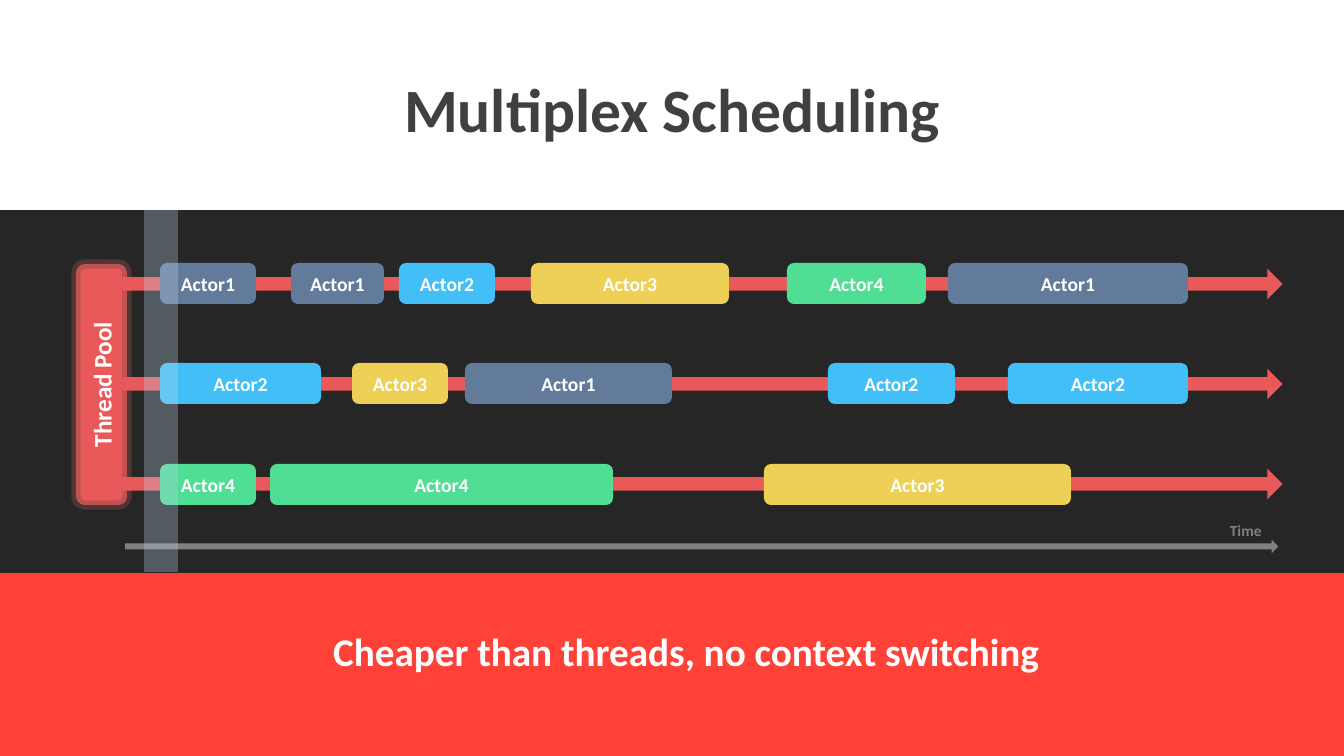
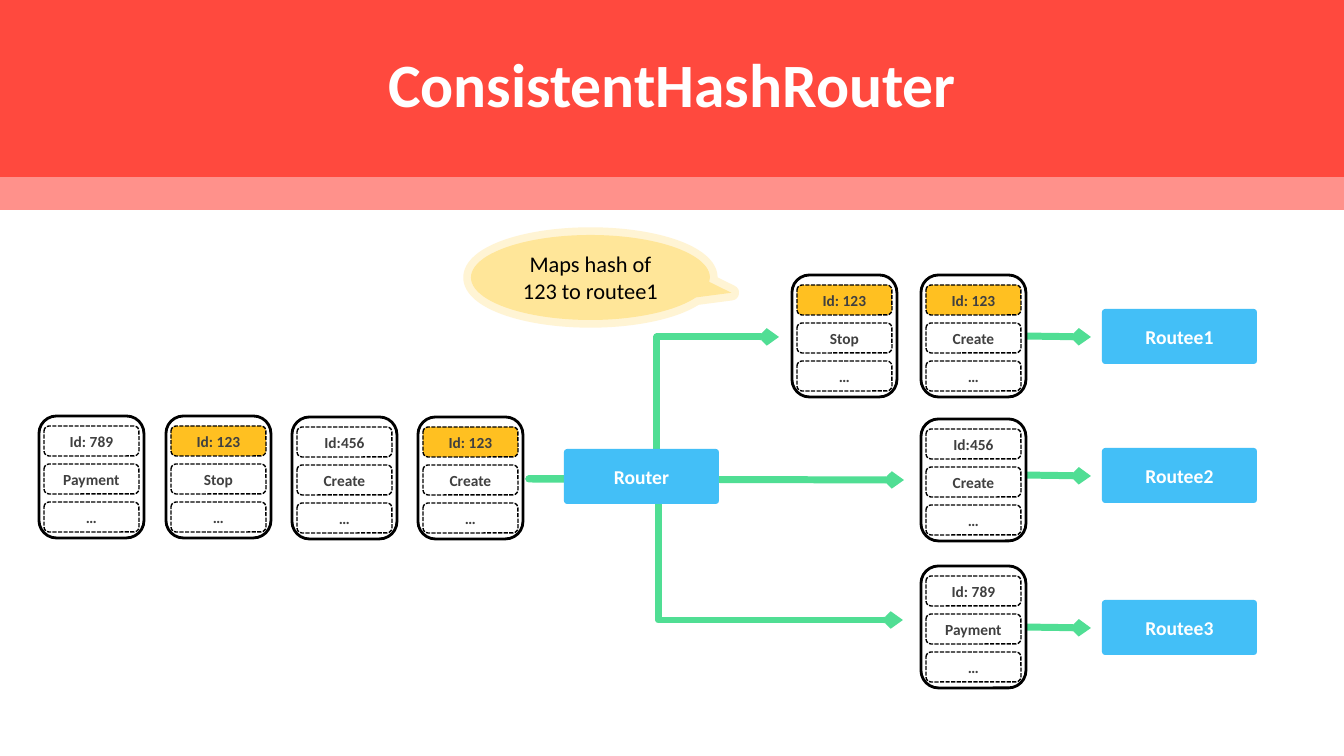
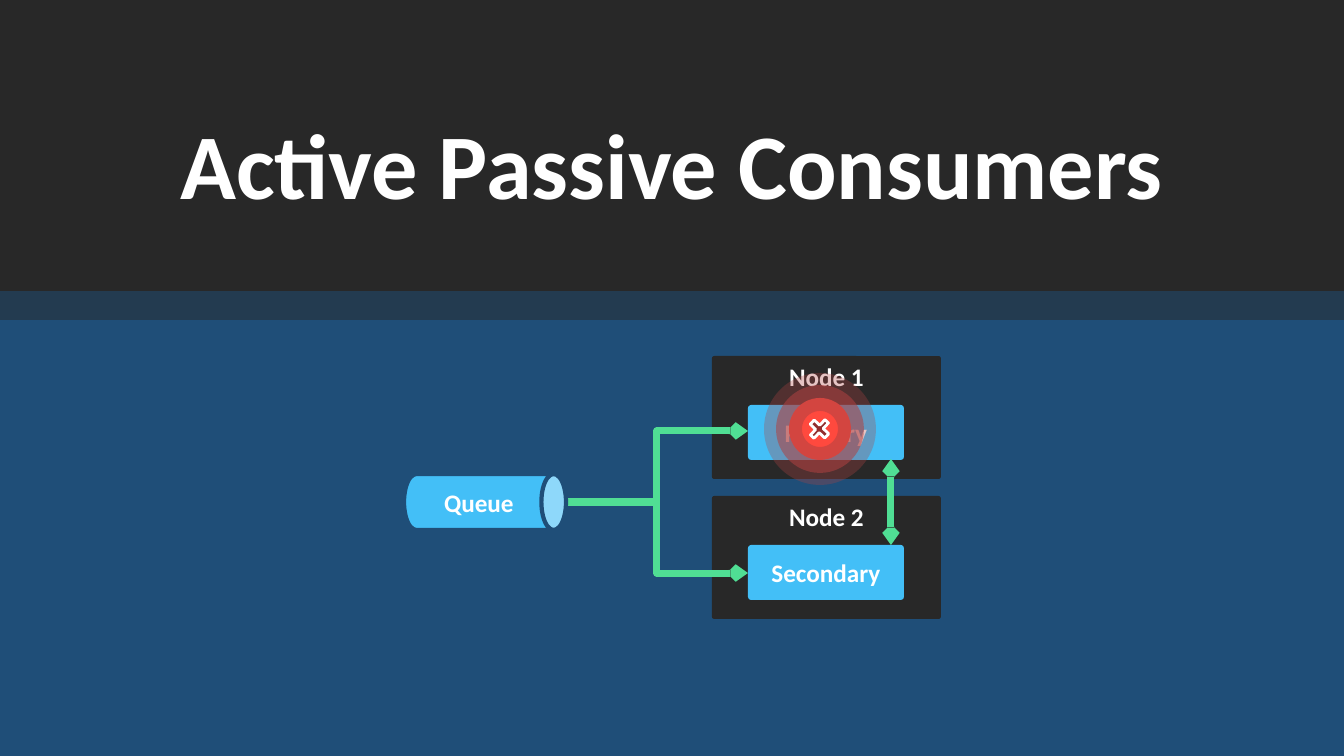
from lxml.etree import SubElement
from pptx import Presentation
from pptx.dml.color import RGBColor
from pptx.enum.dml import MSO_LINE
from pptx.enum.shapes import MSO_CONNECTOR, MSO_SHAPE
from pptx.enum.text import MSO_ANCHOR, MSO_AUTO_SIZE, PP_ALIGN
from pptx.oxml.ns import qn
from pptx.util import Pt

PX = 12192000 / 1344
WIDTH, HEIGHT = 1344, 756
FONT = "Calibri"

WHITE = RGBColor(0xFF, 0xFF, 0xFF)
BLACK = RGBColor(0x00, 0x00, 0x00)
CHARCOAL = RGBColor(0x26, 0x26, 0x26)
PANEL = RGBColor(0x28, 0x28, 0x28)
TEXT_GRAY = RGBColor(0x40, 0x40, 0x40)
TIME_GRAY = RGBColor(0x80, 0x80, 0x80)
RED = RGBColor(0xFF, 0x49, 0x3E)
FOOTER_RED = RGBColor(0xFF, 0x41, 0x37)
CORAL = RGBColor(0xE9, 0x59, 0x59)
POOL_EDGE = RGBColor(0x8C, 0x4A, 0x4A)
HALO = RGBColor(0xB0, 0x42, 0x42)
CROSS = RGBColor(0x92, 0x2E, 0x2E)
SLATE = RGBColor(0x63, 0x7B, 0x9B)
SKY = RGBColor(0x43, 0xBF, 0xF7)
YELLOW = RGBColor(0xED, 0xD0, 0x55)
GREEN = RGBColor(0x50, 0xDE, 0x94)
AMBER = RGBColor(0xFF, 0xC0, 0x21)
CREAM = RGBColor(0xFF, 0xE6, 0x99)
PALE_BLUE = RGBColor(0xBD, 0xD7, 0xEE)
NAVY = RGBColor(0x1F, 0x4E, 0x78)
NAVY_BAND = RGBColor(0x23, 0x3B, 0x50)

ROUNDED = MSO_SHAPE.ROUNDED_RECTANGLE


def add_box(slide, geometry, bounds, fill=None, line=None, text=None, size=14,
            color=WHITE, bold=True, corner=None, alpha=100, line_alpha=100):
    """Add a preset shape, or a text box when geometry is None."""
    bounds = [round(value * PX) for value in bounds]
    if geometry is None:
        shape = slide.shapes.add_textbox(*bounds)
    else:
        shape = slide.shapes.add_shape(geometry, *bounds)
        shape.shadow.inherit = False
    if corner is not None:
        shape.adjustments[0] = corner
    if fill is None:
        shape.fill.background()
    else:
        shape.fill.solid()
        shape.fill.fore_color.rgb = fill
    if line is None:
        shape.line.fill.background()
    else:
        shape.line.color.rgb, shape.line.width = line[0], Pt(line[1])
    properties = shape.element.spPr
    for place, percent in (("a:solidFill", alpha), ("a:ln/a:solidFill", line_alpha)):
        if percent < 100:
            namespaces = {"a": properties.nsmap["a"]}
            color_element = properties.find(place, namespaces)[0]
            SubElement(color_element, qn("a:alpha"), val=str(percent * 1000))
    if text:
        frame = shape.text_frame
        frame.word_wrap = True
        frame.vertical_anchor = MSO_ANCHOR.MIDDLE if geometry else MSO_ANCHOR.TOP
        paragraph = frame.paragraphs[0]
        paragraph.alignment = PP_ALIGN.CENTER
        run = paragraph.add_run()
        run.text = text
        run.font.name, run.font.size, run.font.bold = FONT, Pt(size), bold
        run.font.color.rgb = color
    return shape


def add_arrow(slide, start, end, bend=None, both_ends=False, cap="flat"):
    """Add a green arrow, with an elbow at the given share of its width."""
    kind = MSO_CONNECTOR.STRAIGHT if bend is None else MSO_CONNECTOR.ELBOW
    points = [round(value * PX) for value in (*start, *end)]
    connector = slide.shapes.add_connector(kind, *points)
    connector.line.color.rgb = GREEN
    connector.line.width = Pt(5)
    properties = connector.element.spPr
    if bend is not None:
        guides = properties.find(qn("a:prstGeom")).get_or_add_avLst()
        SubElement(guides, qn("a:gd"), name="adj1", fmla=f"val {round(bend * 100000)}")
    outline = properties.find(qn("a:ln"))
    outline.set("cap", cap)
    SubElement(outline, qn("a:round"))
    for tag in ("a:headEnd", "a:tailEnd") if both_ends else ("a:tailEnd",):
        SubElement(outline, qn(tag), type="arrow", w="sm", len="sm")
    SubElement(properties, qn("a:effectLst"))


presentation = Presentation()
presentation.slide_width = round(WIDTH * PX)
presentation.slide_height = round(HEIGHT * PX)

# Shared frame: background, horizontal bands (top, height, colour, opacity), title
title_bounds = (93, 40, 1159, 146)
frames = [
    ("Multiplex Scheduling", CHARCOAL, [(0, 210, WHITE, 100), (573, 183, FOOTER_RED, 100)],
     title_bounds, 44, TEXT_GRAY, 0.9),
    ("ConsistentHashRouter", WHITE, [(177, 33, RED, 60), (0, 177, RED, 100)],
     (93, 15, 1159, 146), 44, WHITE, 0.9),
    ("Active Passive Consumers", NAVY, [(290, 30, NAVY_BAND, 100), (0, 291, PANEL, 100)],
     (0, 102, WIDTH, 122), 66, WHITE, 1.0),
]
slides = []
for text, background, bands, bounds, size, color, spacing in frames:
    slide = presentation.slides.add_slide(presentation.slide_layouts[5])
    slide.background.fill.solid()
    slide.background.fill.fore_color.rgb = background
    for top, height, band_color, alpha in bands:
        add_box(slide, MSO_SHAPE.RECTANGLE, (0, top, WIDTH, height), band_color, alpha=alpha)
    title = slide.shapes.title
    title.left, title.top, title.width, title.height = [round(value * PX) for value in bounds]
    slide.shapes.element.append(title.element)  # in front of the bands
    title.text_frame.auto_size = MSO_AUTO_SIZE.NONE
    title.text_frame.word_wrap = True
    title.text_frame.vertical_anchor = MSO_ANCHOR.MIDDLE
    paragraph = title.text_frame.paragraphs[0]
    paragraph.alignment = PP_ALIGN.CENTER
    paragraph.line_spacing = spacing
    run = paragraph.add_run()
    run.text = text
    run.font.name, run.font.size, run.font.bold = FONT, Pt(size), True
    run.font.color.rgb = color
    slides.append(slide)
scheduling, routing, consumers = slides

# Title shadow on the consumers slide
title_fill = run.font.fill  # solid fill set above
run_properties = run.font.color and run._r.rPr
effects = SubElement(run_properties, qn("a:effectLst"))
shadow = SubElement(effects, qn("a:outerShdw"), dist="50800", dir="2700000", algn="tl")
SubElement(shadow, qn("a:srgbClr"), val=str(BLACK))
run_properties.find(qn("a:solidFill")).addnext(effects)

# Scheduling: thread pool and its three threads
pool = add_box(scheduling, ROUNDED, (-19, 359, 241, 51), CORAL, (POOL_EDGE, 6.75),
               "Thread Pool", 18, line_alpha=41)
pool.rotation = 270
timelines = [(top, 8, CORAL, 6.75) for top in (480, 380, 280)] + [(544, 5, TIME_GRAY, 2.5)]
for top, height, color, weight in timelines:
    arrow = add_box(scheduling, MSO_SHAPE.RIGHT_ARROW, (127, top, 1149, height),
                    line=(color, weight))
    SubElement(arrow.element.spPr.find(qn("a:ln")), qn("a:miter"), lim="800000")

# Scheduling: actor runs as (actor, left, width) on each thread
actor_colors = {1: SLATE, 2: SKY, 3: YELLOW, 4: GREEN}
threads = {
    263: [(1, 160, 96), (1, 291, 93), (2, 399, 96), (3, 531, 198), (4, 787, 139),
          (1, 948, 240)],
    363: [(2, 160, 161), (3, 352, 96), (1, 465, 207), (2, 828, 127), (2, 1008, 180)],
    464: [(4, 160, 96), (4, 270, 343), (3, 764, 307)],
}
for top, actor_runs in threads.items():
    for actor, left, width in actor_runs:
        add_box(scheduling, ROUNDED, (left, top, width, 41), actor_colors[actor],
                text=f"Actor{actor}")

# Scheduling: time marker and captions
add_box(scheduling, MSO_SHAPE.RECTANGLE, (144, 210, 34, 362), PALE_BLUE, alpha=30)
add_box(scheduling, None, (14, 622, WIDTH, 57),
        text="Cheaper than threads, no context switching", size=28)
time_label = add_box(scheduling, None, (1220, 516, 55, 29), text="Time", size=11,
                     color=TIME_GRAY)
time_label.text_frame.word_wrap = False
time_label.text_frame.paragraphs[0].alignment = PP_ALIGN.LEFT

# Routing: callout
callout = add_box(routing, MSO_SHAPE.OVAL_CALLOUT, (471, 235, 239, 85), CREAM, (CREAM, 11),
                  "Maps hash of 123 to routee1", 16, BLACK, False, line_alpha=42)
callout.adjustments[0], callout.adjustments[1] = 0.59, 0.18

# Routing: arrows behind the messages and the router
for y in (336, 475, 627):
    add_arrow(routing, (1022, y), (1091, y + 1), cap="rnd")
source = (529, 479)
add_arrow(routing, source, (904, 480), cap="rnd")
add_arrow(routing, source, (903, 620), bend=0.346, cap="rnd")
add_arrow(routing, source, (779, 337), bend=0.512, cap="rnd")

# Routing: router and routees
nodes = [("Router", 564, 449), ("Routee1", 1102, 309), ("Routee2", 1102, 448),
         ("Routee3", 1102, 600)]
for name, left, top in nodes:
    add_box(routing, ROUNDED, (left, top, 155, 55), SKY, text=name, corner=0.06)

# Routing: messages with three fields each
messages = [
    (39, 416, "Id: 789", "Payment"), (166, 416, "Id: 123", "Stop"),
    (292, 417, "Id:456", "Create"), (418, 417, "Id: 123", "Create"),
    (792, 275, "Id: 123", "Stop"), (921, 275, "Id: 123", "Create"),
    (921, 419, "Id:456", "Create"), (921, 566, "Id: 789", "Payment"),
]
for left, top, identifier, command in messages:
    add_box(routing, ROUNDED, (left, top, 105, 122), WHITE, (BLACK, 2))
    for row, text in enumerate((identifier, command, "…")):
        field = add_box(routing, ROUNDED, (left + 5, top + 10 + 38 * row, 95, 30),
                        AMBER if text == "Id: 123" else None, (BLACK, 1), text, 11, TEXT_GRAY)
        field.line.dash_style = MSO_LINE.SQUARE_DOT

# Consumers: nodes with the service inside
for name, service, top in (("Node 2", "Secondary", 496), ("Node 1", "Primary", 356)):
    node = add_box(consumers, ROUNDED, (712, top, 229, 123), PANEL, text=name, size=18,
                   corner=0.02)
    node.text_frame.vertical_anchor = MSO_ANCHOR.TOP
    add_box(consumers, ROUNDED, (748, top + 49, 156, 55), SKY, text=service, size=18,
            corner=0.06)

# Consumers: queue and its arrows
for y in (431, 573):
    add_arrow(consumers, (566, 502), (748, y), bend=0.5)
queue = add_box(consumers, MSO_SHAPE.CAN, (457, 421, 56, 162), SKY, (NAVY, 3), "Queue", 18,
                corner=0.44)
queue.rotation = 90
queue.element.txBody.bodyPr.set("vert", "vert270")
add_arrow(consumers, (891, 545), (891, 459), both_ends=True)

# Consumers: failure mark on the primary
for fill, weight, opacity in ((None, 35.75, 31), (RED, 18.5, 54)):
    add_box(consumers, MSO_SHAPE.OVAL, (789, 398, 62, 62), fill, (HALO, weight),
            line_alpha=opacity)
cross = add_box(consumers, MSO_SHAPE.CROSS, (809, 419, 21, 20), CROSS, (WHITE, 2), corner=0.38)
cross.rotation = 313.5

presentation.save("out.pptx")
